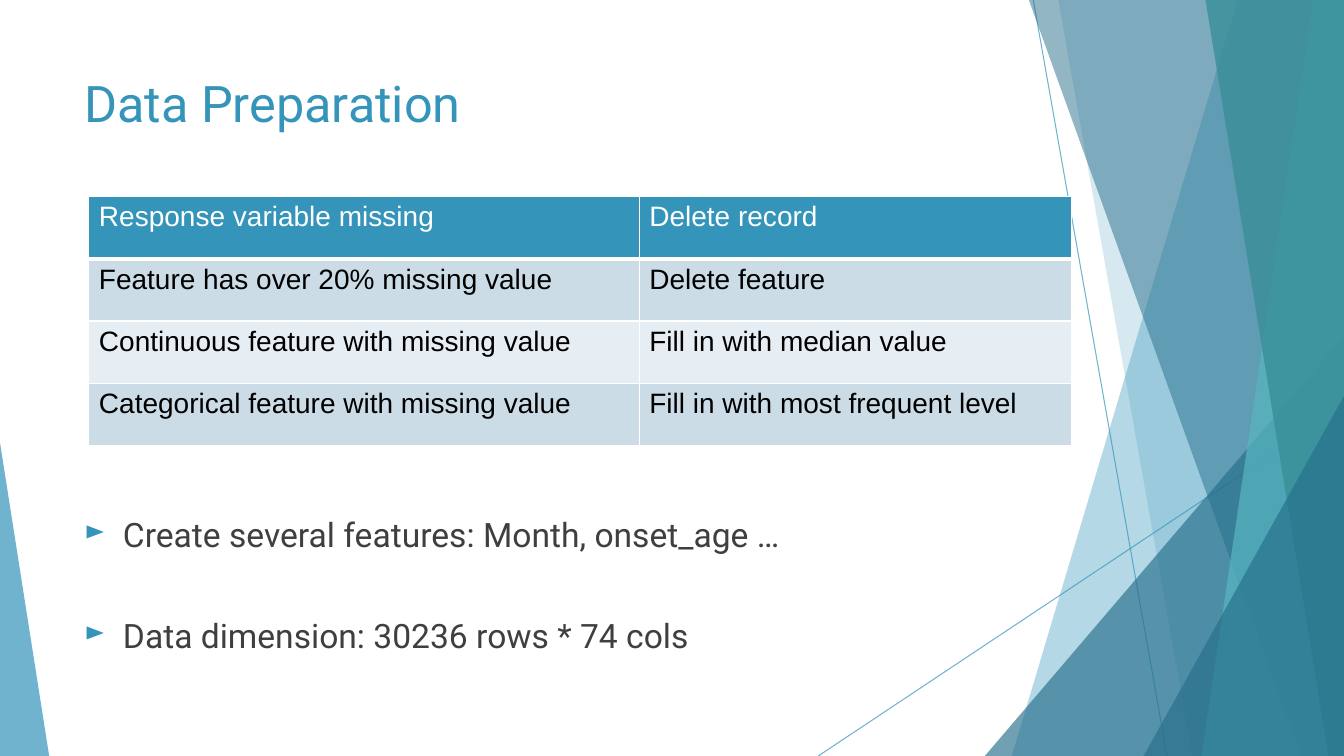
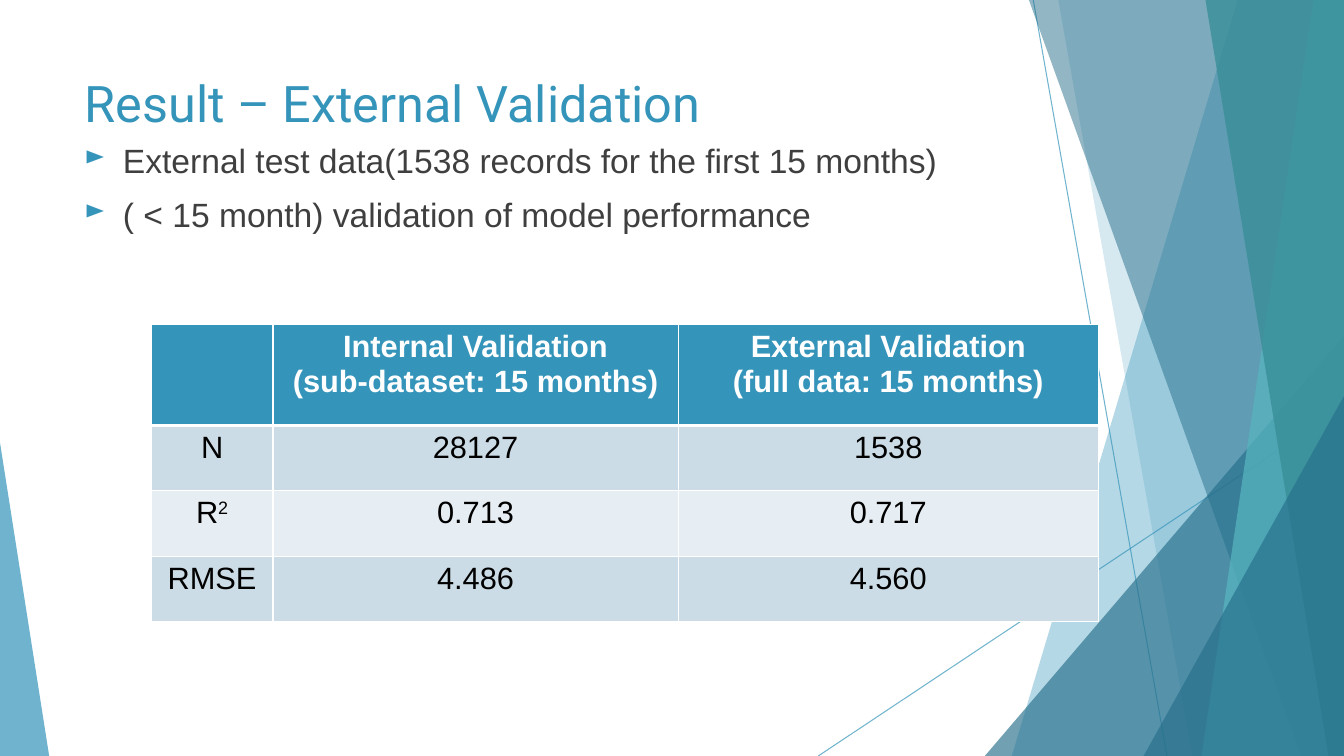
from lxml import etree
from pptx import Presentation
from pptx import util as u
from pptx.dml.color import RGBColor
from pptx.enum import shapes, text
from pptx.oxml.ns import qn

# Shared palette, fonts and measures (centimetres)
BLUE = RGBColor(0x34, 0x94, 0xBA)
DEEP_BLUE = RGBColor(0x26, 0x6F, 0x8B)
TEAL = RGBColor(0x58, 0xB6, 0xC0)
DEEP_TEAL = RGBColor(0x39, 0x8F, 0x98)
BODY_GREY = RGBColor(0x3F, 0x3F, 0x3F)
BAND_DARK = RGBColor(0xCC, 0xDC, 0xE6)
BAND_LIGHT = RGBColor(0xE7, 0xEE, 0xF3)
WHITE = RGBColor(0xFF, 0xFF, 0xFF)
BLACK = RGBColor(0x00, 0x00, 0x00)

HEADING_FONT = "Roboto"
TABLE_FONT = "Arial"
SLIDE_W, SLIDE_H = 33.87, 19.05
TEXT_LEFT = 1.88
BULLET_INDENT = u.Cm(0.97)


def set_opacity(shape, percent):
    for colour in shape.element.iter(qn("a:srgbClr")):
        etree.SubElement(colour, qn("a:alpha"), val=str(percent * 1000))


def style_font(paragraph, name, size, colour, bold=False):
    font = paragraph.font
    font.name, font.size, font.bold = name, u.Pt(size), bold
    font.color.rgb = colour


# Background decoration
def paint(shape, colour, opacity):
    shape.fill.solid()
    shape.fill.fore_color.rgb = colour
    shape.line.fill.background()
    shape.shadow.inherit = False
    set_opacity(shape, opacity)


def add_ray(slide, x1, y1, x2, y2):
    ray = slide.shapes.add_connector(
        shapes.MSO_CONNECTOR.STRAIGHT, u.Cm(x1), u.Cm(y1), u.Cm(x2), u.Cm(y2))
    ray.line.color.rgb = BLUE
    ray.line.width = u.Pt(0.75)
    etree.SubElement(ray.element.spPr, qn("a:effectLst"))
    set_opacity(ray, 70)


def add_ribbon(slide, top_x, bottom_x, colour, opacity):
    """Full-height panel with a slanted left side, ending at the right edge."""
    outline = slide.shapes.build_freeform(u.Cm(top_x), 0)
    corners = [(SLIDE_W, 0), (SLIDE_W, SLIDE_H), (bottom_x, SLIDE_H)]
    outline.add_line_segments([(u.Cm(x), u.Cm(y)) for x, y in corners])
    paint(outline.convert_to_shape(), colour, opacity)


def add_corner(slide, width, height, colour, opacity, at_right=True):
    """Right triangle standing in a bottom corner of the slide."""
    left = SLIDE_W - width if at_right else 0
    corner = slide.shapes.add_shape(
        shapes.MSO_SHAPE.ISOSCELES_TRIANGLE, u.Cm(left),
        u.Cm(SLIDE_H - height), u.Cm(width), u.Cm(height))
    corner.adjustments[0] = 1 if at_right else 0
    paint(corner, colour, opacity)


def add_decoration(slide):
    add_ray(slide, 26.04, 0, 29.41, SLIDE_H)
    add_ray(slide, SLIDE_W, 10.24, 20.62, SLIDE_H)
    add_ribbon(slide, 31.19, 25.5, BLUE, 36)
    add_ribbon(slide, 26.67, 30.05, BLUE, 20)
    add_corner(slide, 9.05, 10.59, DEEP_BLUE, 66)
    add_ribbon(slide, 25.93, 32.79, DEEP_BLUE, 50)
    add_ribbon(slide, 33.1, 30.28, TEAL, 70)
    add_ribbon(slide, 30.38, 33.48, DEEP_TEAL, 80)
    add_corner(slide, 5.05, 9.07, DEEP_BLUE, 66)
    add_corner(slide, 1.24, 7.9, BLUE, 70, at_right=False)


# Title and bullets
def add_text_frame(slide, top, width, height):
    box = slide.shapes.add_textbox(
        u.Cm(TEXT_LEFT), u.Cm(top), u.Cm(width), u.Cm(height))
    box.text_frame.word_wrap = True
    return box.text_frame


def add_titled_slide(deck, heading):
    slide = deck.slides.add_slide(deck.slide_layouts[6])
    add_decoration(slide)
    title = add_text_frame(slide, 1.7, 23.88, 1.75).paragraphs[0]
    title.text = heading
    style_font(title, HEADING_FONT, 36, BLUE)
    return slide


def add_bullet_mark(paragraph):
    props = paragraph._p.get_or_add_pPr()
    props.set("marL", str(BULLET_INDENT))
    props.set("indent", str(-BULLET_INDENT))
    colour = etree.SubElement(props, qn("a:buClr"))
    etree.SubElement(colour, qn("a:srgbClr"), val=str(BLUE))
    etree.SubElement(props, qn("a:buSzPct"), val="80000")
    etree.SubElement(props, qn("a:buChar"), char="►")


def add_bullets(slide, items, top, height, font, gap, line_spacing=1.0):
    frame = add_text_frame(slide, top, 23.88, height)
    for i, item in enumerate(items):
        bullet = frame.add_paragraph() if i else frame.paragraphs[0]
        bullet.text = item
        bullet.line_spacing = line_spacing
        bullet.space_before = u.Pt(gap if i else 0)
        add_bullet_mark(bullet)
        style_font(bullet, font, 24, BODY_GREY)


# Tables
def add_borders(cell, row):
    """White grid with a thicker rule between the header and the body."""
    widths = {"L": 1, "R": 1, "T": 3 if row == 1 else 1, "B": 1 if row else 3}
    props = cell._tc.get_or_add_tcPr()
    for side, width in widths.items():
        edge = etree.SubElement(props, qn(f"a:ln{side}"), w=str(u.Pt(width)))
        fill = etree.SubElement(edge, qn("a:solidFill"))
        etree.SubElement(fill, qn("a:srgbClr"), val=str(WHITE))


def fill_cell(cell, content, size, colour, bold, align):
    """Newlines part paragraphs; what follows ^ is set as superscript."""
    for i, line in enumerate(content.split("\n")):
        paragraph = cell.text_frame.add_paragraph() if i else cell.text_frame.paragraphs[0]
        base, _, raised = line.partition("^")
        paragraph.alignment = align
        style_font(paragraph, TABLE_FONT, size, colour, bold)
        if base:
            paragraph.add_run().text = base
        if raised:
            exponent = paragraph.add_run()
            exponent.text = raised
            exponent._r.get_or_add_rPr().set("baseline", "30000")


def add_grid(slide, rows, left, top, col_widths, row_heights, size,
             bold_header=False, align=text.PP_ALIGN.LEFT):
    grid = slide.shapes.add_table(
        len(rows), len(col_widths), u.Cm(left), u.Cm(top),
        u.Cm(sum(col_widths)), u.Cm(sum(row_heights))).table
    for column, width in zip(grid.columns, col_widths):
        column.width = u.Cm(width)
    for r, (contents, height) in enumerate(zip(rows, row_heights)):
        grid.rows[r].height = u.Cm(height)
        band = (BAND_DARK if r % 2 else BAND_LIGHT) if r else BLUE
        colour = BLACK if r else WHITE
        for c, content in enumerate(contents):
            cell = grid.cell(r, c)
            add_borders(cell, r)
            cell.fill.solid()
            cell.fill.fore_color.rgb = band
            fill_cell(cell, content, size, colour, bold_header and r == 0, align)


# Slides
def add_preparation_slide(deck):
    slide = add_titled_slide(deck, "Data Preparation")
    add_bullets(slide, ["Create several features: Month, onset_age …",
                        "Data dimension: 30236 rows * 74 cols"],
                top=12.95, height=3.7, font=HEADING_FONT, gap=46, line_spacing=0.9)
    rules = [("Response variable missing", "Delete record"),
             ("Feature has over 20% missing value", "Delete feature"),
             ("Continuous feature with missing value", "Fill in with median value"),
             ("Categorical feature with missing value", "Fill in with most frequent level")]
    add_grid(slide, rules, 2.24, 4.95, [13.87, 10.9], [1.57] * 4, size=20)


def add_validation_slide(deck):
    slide = add_titled_slide(deck, "Result – External Validation")
    add_bullets(slide, ["External test data(1538 records for the first 15 months)",
                        "( < 15 month) validation of model performance"],
                top=3.4, height=2.55, font=TABLE_FONT, gap=10)
    scores = [("", "Internal Validation\n(sub-dataset: 15 months)",
               "External Validation\n(full data: 15 months)"),
              ("N", "28127", "1538"),
              ("R^2", "0.713", "0.717"),
              ("RMSE", "4.486", "4.560")]
    add_grid(slide, scores, 3.81, 8.18, [3.07, 10.21, 10.59],
             [2.54] + [1.65] * 3, size=22, bold_header=True,
             align=text.PP_ALIGN.CENTER)


def main():
    deck = Presentation()
    deck.slide_width, deck.slide_height = u.Cm(SLIDE_W), u.Cm(SLIDE_H)
    add_preparation_slide(deck)
    add_validation_slide(deck)
    deck.save("out.pptx")


if __name__ == "__main__":
    main()
